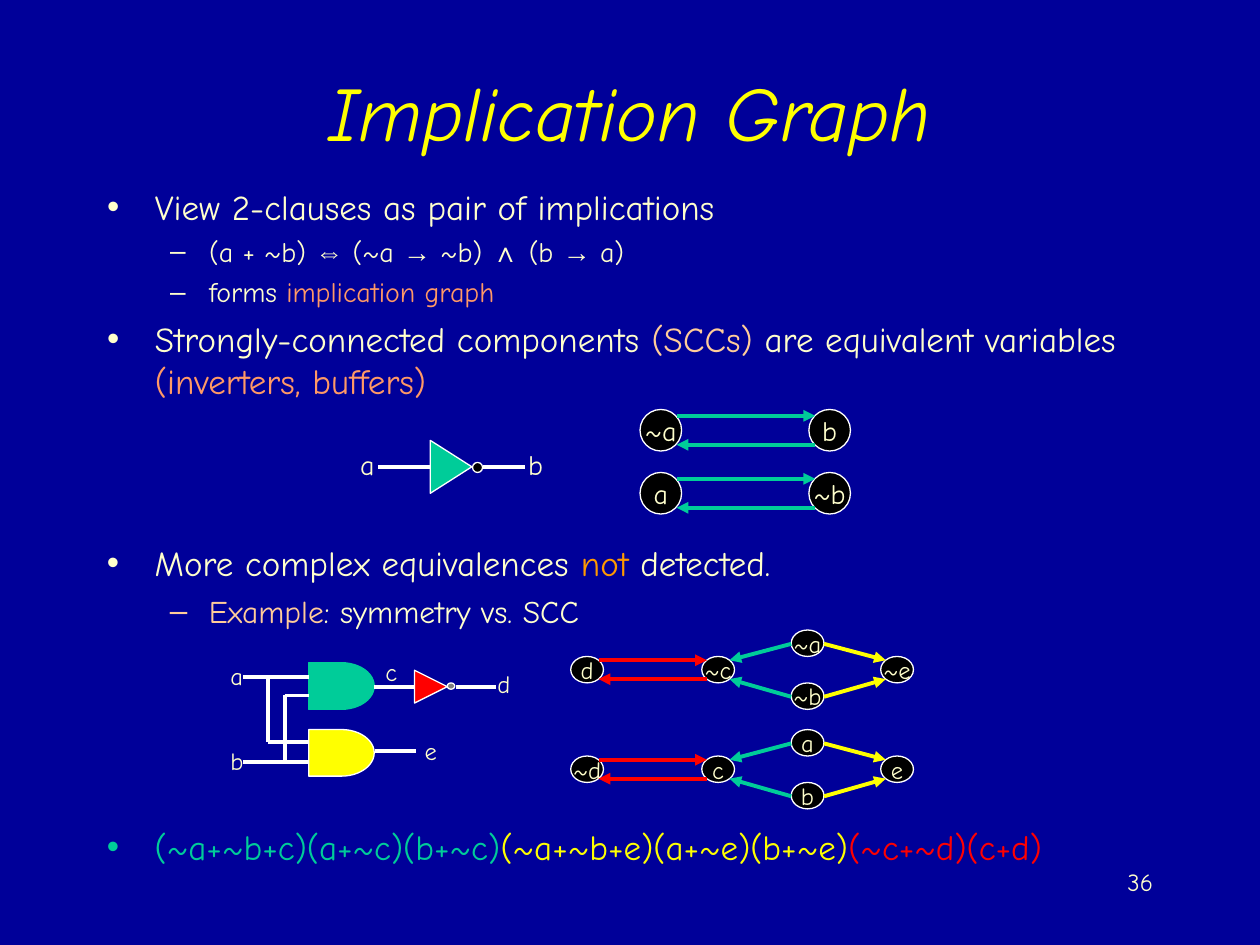
from lxml import etree
from pptx import Presentation
from pptx.dml.color import RGBColor
from pptx.enum import shapes, text
from pptx.oxml.ns import qn
from pptx.util import Inches, Pt

FONT = "Comic Neue"
CREAM, PEACH, CORAL, ORANGE = "FFFFCC", "FFCC99", "FF9966", "FF9900"
GREEN, YELLOW, RED = "00CC99", "FFFF00", "FF0000"
WHITE, BLACK, GREY, NAVY = "FFFFFF", "000000", "808080", "000099"
color = RGBColor.from_string
KIND = shapes.MSO_SHAPE


def add_run(p, words, size, hue=CREAM, font=FONT):
    r = p.add_run()
    r.text = words
    r.font.size = Pt(size)
    r.font.name = font
    r.font.color.rgb = color(hue)
    return r


def add_bullet(p, char, hue):
    pPr = p._p.get_or_add_pPr()
    left, hang = (0.81, 0.31) if p.level else (0.38, 0.38)
    pPr.set("marL", str(Inches(left)))
    pPr.set("indent", str(-Inches(hang)))
    clr = etree.SubElement(pPr, qn("a:buClr"))
    etree.SubElement(clr, qn("a:srgbClr"), val=hue)
    etree.SubElement(pPr, qn("a:buFont"), typeface="Arial")
    etree.SubElement(pPr, qn("a:buChar"), char=char)


prs = Presentation()
prs.slide_width, prs.slide_height = Inches(10), Inches(7.5)
s = prs.slides.add_slide(prs.slide_layouts[1])
s.background.fill.solid()
s.background.fill.fore_color.rgb = color(NAVY)

# Title
title = s.shapes.title
title.left, title.top = Inches(0.75), Inches(0.25)
title.width, title.height = Inches(8.5), Inches(1.25)
title.text_frame.auto_size = text.MSO_AUTO_SIZE.NONE
p = title.text_frame.paragraphs[0]
p.alignment = text.PP_ALIGN.CENTER
add_run(p, "Implication Graph", 44, YELLOW).font.italic = True

# Bulleted text: (level, size, space before, runs of words, colour, font)
body = s.placeholders[1]
body.left, body.top = Inches(0.75), Inches(1.42)
body.width, body.height = Inches(8.5), Inches(4.5)
equivalences = s.shapes.add_textbox(Inches(0.75), Inches(4.25), Inches(8.5), Inches(2.25))
clauses = s.shapes.add_textbox(Inches(0.75), Inches(6.5), Inches(8.5), Inches(0.5))
lists = [
    (body, [
        (0, 20, 0, [("View 2-clauses as pair of implications", CREAM)]),
        (1, 16, 4, [("(a + ~b) ", CREAM), ("⇔", CREAM, "Arial"), (" (~a ", CREAM),
                    ("→", CREAM, "Arial"), (" ~b) ", CREAM), ("∧", CREAM, "Arial"),
                    (" (b ", CREAM), ("→", CREAM, "Arial"), (" a)", CREAM)]),
        (1, 16, 4, [("forms ", CREAM), ("implication graph", CORAL)]),
        (0, 20, 5, [("Strongly-connected components ", CREAM), ("(SCCs)", PEACH),
                    (" are equivalent variables ", CREAM), ("(inverters, buffers)", CORAL)]),
    ]),
    (equivalences, [
        (0, 20, 0, [("More complex equivalences ", CREAM), ("not", ORANGE),
                    (" detected.", CREAM)]),
        (1, 18, 4.5, [("Example", PEACH), (": symmetry vs. SCC", CREAM)]),
    ]),
    (clauses, [
        (0, 20, 0, [("(~a+~b+c)(a+~c)(b+~c)", GREEN), ("(~a+~b+e)(a+~e)(b+~e)", YELLOW),
                    ("(~c+~d)(c+d)", RED)]),
    ]),
]
for box, items in lists:
    tf = box.text_frame
    tf.word_wrap = True
    tf.auto_size = text.MSO_AUTO_SIZE.NONE
    for i, (level, size, before, runs) in enumerate(items):
        p = tf.add_paragraph() if i else tf.paragraphs[0]
        p.level = level
        add_bullet(p, "–" if level else "•", runs[0][1])
        p.space_before = Pt(before)
        for words, *look in runs:
            add_run(p, words, size, *look)

# Gates: kind, left, top, width, height, rotation, fill, outline
gates = [
    (KIND.FLOWCHART_EXTRACT, 3.37, 3.54, 0.42, 0.33, 90, GREEN, WHITE),
    (KIND.OVAL, 3.75, 3.67, 0.08, 0.08, 0, BLACK, WHITE),
    (KIND.FLOWCHART_DELAY, 2.45, 5.26, 0.52, 0.37, 0, GREEN, GREEN),
    (KIND.FLOWCHART_DELAY, 2.45, 5.79, 0.52, 0.37, 0, YELLOW, WHITE),
    (KIND.FLOWCHART_EXTRACT, 3.29, 5.32, 0.26, 0.26, 90, RED, WHITE),
    (KIND.FLOWCHART_CONNECTOR, 3.55, 5.42, 0.06, 0.05, 0, GREY, WHITE),
]

# Wires and arrows: x1, y1, x2, y2, colour, has arrowhead
wires = [
    (3, 3.71, 3.42, 3.71), (3.83, 3.71, 4.17, 3.71),
    (1.93, 5.37, 2.45, 5.37), (2.26, 5.52, 2.45, 5.52),
    (2.13, 5.89, 2.45, 5.89), (1.93, 6.05, 2.45, 6.05),
    (2.13, 5.37, 2.13, 5.89), (2.26, 5.52, 2.26, 6.05),
    (2.97, 5.45, 3.29, 5.45), (3.62, 5.45, 3.94, 5.45), (2.98, 5.96, 3.3, 5.96),
]
lines = [(*wire, WHITE, False) for wire in wires]

# Graph nodes: name, left, top, width, height, text size
nodes = []
for y, left_name, right_name in [(3.25, "~a", "b"), (3.75, "a", "~b")]:
    nodes += [(left_name, 5.08, y, 0.33, 0.33, 16), (right_name, 6.42, y, 0.33, 0.33, 16)]
    lines += [(5.37, y + 0.05, 6.47, y + 0.05, GREEN, True),
              (6.47, y + 0.28, 5.37, y + 0.28, GREEN, True)]
for y, names in [(5.21, ["d", "~c", "~a", "~b", "~e"]), (6, ["~d", "c", "a", "b", "e"])]:
    places = [(4.53, y), (5.57, y), (6.28, y - 0.21), (6.28, y + 0.21), (6.99, y)]
    nodes += [(name, *at, 0.26, 0.21, 14) for name, at in zip(names, places)]
    lines += [(4.75, y + 0.03, 5.61, y + 0.03, RED, True),
              (5.61, y + 0.18, 4.75, y + 0.18, RED, True)]
    for start, end in [(y - 0.1, y + 0.03), (y + 0.32, y + 0.18)]:
        lines += [(6.28, start, 5.79, end, GREEN, True),
                  (6.54, start, 7.03, end, YELLOW, True)]

ovals = [(KIND.FLOWCHART_CONNECTOR, *place, 0, BLACK, WHITE, name, size)
         for name, *place, size in nodes]
for kind, x, y, w, h, turn, fill, outline, *label in gates + ovals:
    sp = s.shapes.add_shape(kind, Inches(x), Inches(y), Inches(w), Inches(h))
    sp.shadow.inherit = False
    sp.rotation = turn
    sp.fill.solid()
    sp.fill.fore_color.rgb = color(fill)
    sp.line.color.rgb = color(outline)
    sp.line.width = Pt(0.75)
    if label:
        tf = sp.text_frame
        tf.word_wrap = False
        tf.vertical_anchor = text.MSO_ANCHOR.MIDDLE
        tf.paragraphs[0].alignment = text.PP_ALIGN.CENTER
        add_run(tf.paragraphs[0], *label)

for x1, y1, x2, y2, hue, arrow in lines:
    line = s.shapes.add_connector(shapes.MSO_CONNECTOR.STRAIGHT,
                                  Inches(x1), Inches(y1), Inches(x2), Inches(y2))
    line.line.color.rgb = color(hue)
    line.line.width = Pt(2.25)
    if arrow:
        etree.SubElement(line.line._get_or_add_ln(), qn("a:tailEnd"), type="triangle")
    etree.SubElement(line._element.spPr, qn("a:effectLst"))

# Signal names beside the gates
signals = [
    ("a", 2.76, 3.5, 0.31, 0.37, 16), ("b", 4.09, 3.5, 0.32, 0.37, 16),
    ("c", 2.96, 5.16, 0.29, 0.34, 14), ("d", 3.85, 5.26, 0.3, 0.34, 14),
    ("a", 1.73, 5.19, 0.3, 0.34, 14), ("b", 1.73, 5.87, 0.3, 0.34, 14),
    ("e", 3.27, 5.79, 0.3, 0.34, 14),
]
for name, x, y, w, h, size in signals:
    tf = s.shapes.add_textbox(Inches(x), Inches(y), Inches(w), Inches(h)).text_frame
    tf.word_wrap = False
    tf.auto_size = text.MSO_AUTO_SIZE.SHAPE_TO_FIT_TEXT
    tf.vertical_anchor = text.MSO_ANCHOR.MIDDLE
    tf.paragraphs[0].alignment = text.PP_ALIGN.CENTER
    add_run(tf.paragraphs[0], name, size)

# Slide number
tf = s.shapes.add_textbox(Inches(7.17), Inches(6.83), Inches(2.08), Inches(0.5)).text_frame
tf.word_wrap = True
tf.paragraphs[0].alignment = text.PP_ALIGN.RIGHT
add_run(tf.paragraphs[0], "36", 14)

prs.save("out.pptx")
